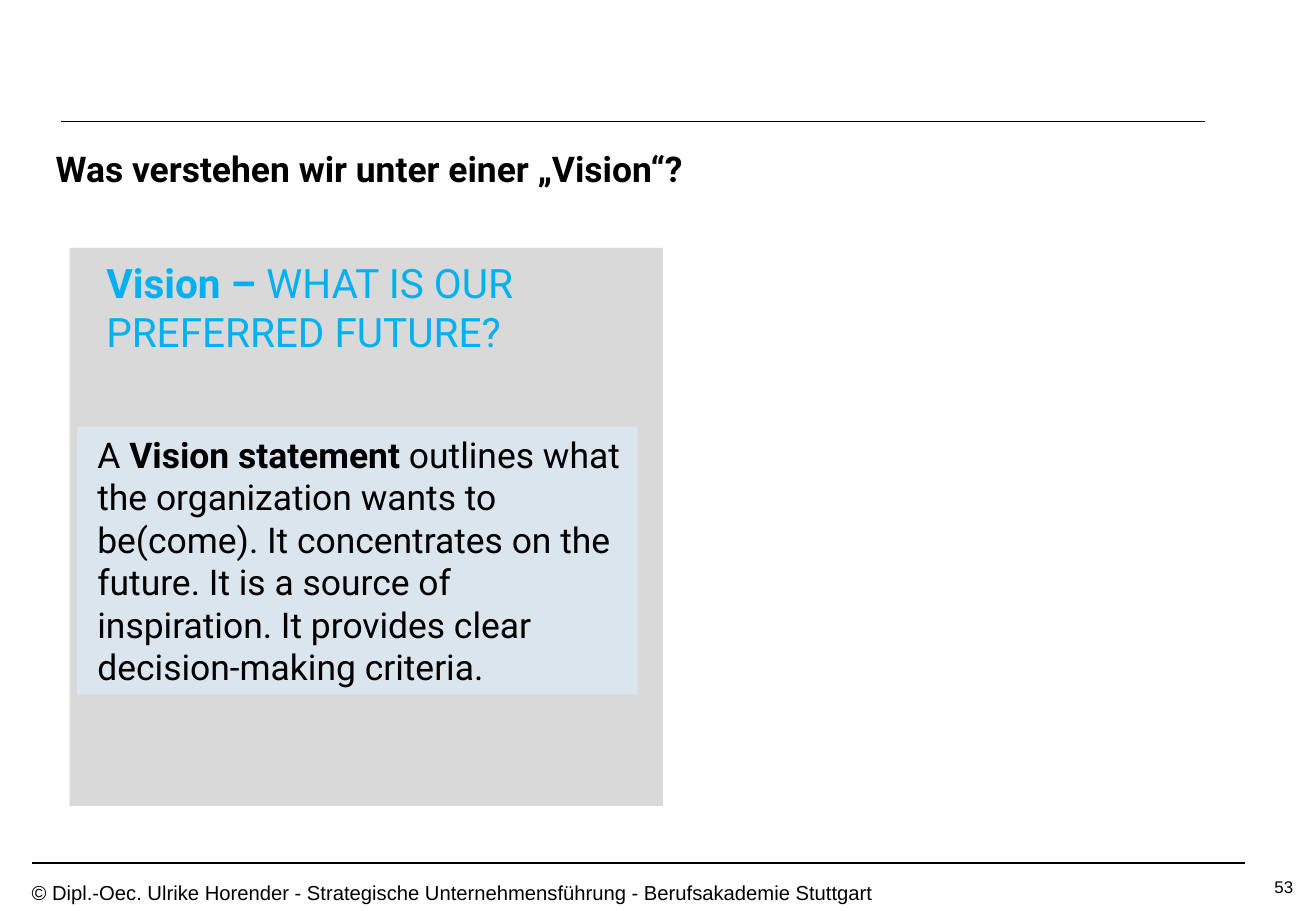
from lxml.etree import SubElement
from pptx import Presentation
from pptx.dml.color import RGBColor
from pptx.enum.shapes import MSO_CONNECTOR, MSO_SHAPE
from pptx.enum.text import MSO_ANCHOR, PP_ALIGN
from pptx.oxml.ns import qn
from pptx.util import Emu, Pt

EMU_PER_PX = 9525
COLORS = {
    "black": "000000",
    "panel": "D9D9D9",
    "statement": "DCEBF6",
    "accent": "00B0F0",
}


def px(length):
    return Emu(length * EMU_PER_PX)


def rgb(name):
    return RGBColor.from_string(COLORS[name])


def add_rule(slide, left, right, y):
    rule = slide.shapes.add_connector(
        MSO_CONNECTOR.STRAIGHT, px(left), px(y), px(right), px(y))
    rule.line.color.rgb = rgb("black")
    rule.line.width = Pt(0.75)
    SubElement(rule._element.spPr, qn("a:effectLst"))


def add_panel(slide, left, top, width, height, color, opacity=100):
    panel = slide.shapes.add_shape(
        MSO_SHAPE.RECTANGLE, px(left), px(top), px(width), px(height))
    panel.shadow.inherit = False
    panel.fill.solid()
    panel.fill.fore_color.rgb = rgb(color)
    panel.line.fill.background()
    if opacity < 100:
        fill_color = panel._element.spPr.find(qn("a:solidFill"))[0]
        SubElement(fill_color, qn("a:alpha"), val=str(opacity * 1000))


def add_text(slide, left, top, width, height, lines, *, size, font="Roboto",
             color="black", align=PP_ALIGN.LEFT):
    """Lines are lists of (text, bold) runs, joined by line breaks."""
    frame = slide.shapes.add_textbox(
        px(left), px(top), px(width), px(height)).text_frame
    frame.word_wrap = True
    frame.vertical_anchor = MSO_ANCHOR.TOP
    frame.margin_left = frame.margin_right = 0
    frame.margin_top = frame.margin_bottom = 0
    paragraph = frame.paragraphs[0]
    paragraph.alignment = align
    for index, line in enumerate(lines):
        if index:
            paragraph.add_line_break()
        for text, bold in line:
            run = paragraph.add_run()
            run.text = text
            run.font.name = font
            run.font.size = Pt(size)
            run.font.bold = bold
            run.font.color.rgb = rgb(color)


def add_footer(slide):
    add_rule(slide, 25, 984, 682)
    copyright_line = ("© Dipl.-Oec. Ulrike Horender - Strategische "
                      "Unternehmensführung - Berufsakademie Stuttgart")
    add_text(slide, 25, 696, 780, 20, [[(copyright_line, False)]],
             size=12, font="Arial")
    add_text(slide, 825, 693, 197, 20, [[("53", False)]],
             size=10, font="Arial", align=PP_ALIGN.RIGHT)


def add_vision(slide):
    add_panel(slide, 55, 196, 469, 441, "panel")
    add_text(slide, 84, 204, 395, 78,
             [[("Vision – ", True), ("WHAT IS OUR ", False)],
              [("PREFERRED FUTURE?", False)]],
             size=24, color="accent")
    add_panel(slide, 61, 337, 443, 212, "statement", opacity=71)
    add_text(slide, 77, 342, 419, 204,
             [[("A ", False), ("Vision statement ", True),
               ("outlines what the organization wants to be(come). "
                "It concentrates on the future. It is a source of "
                "inspiration. It provides clear decision-making criteria.",
                False)]],
             size=21)


def main():
    presentation = Presentation()
    presentation.slide_width = px(1040)
    presentation.slide_height = px(720)
    slide = presentation.slides.add_slide(presentation.slide_layouts[6])
    add_rule(slide, 48, 952, 96)
    add_text(slide, 44, 116, 934, 34,
             [[("Was verstehen wir unter einer „Vision“?", True)]], size=21)
    add_vision(slide)
    add_footer(slide)
    presentation.save("out.pptx")


if __name__ == "__main__":
    main()
